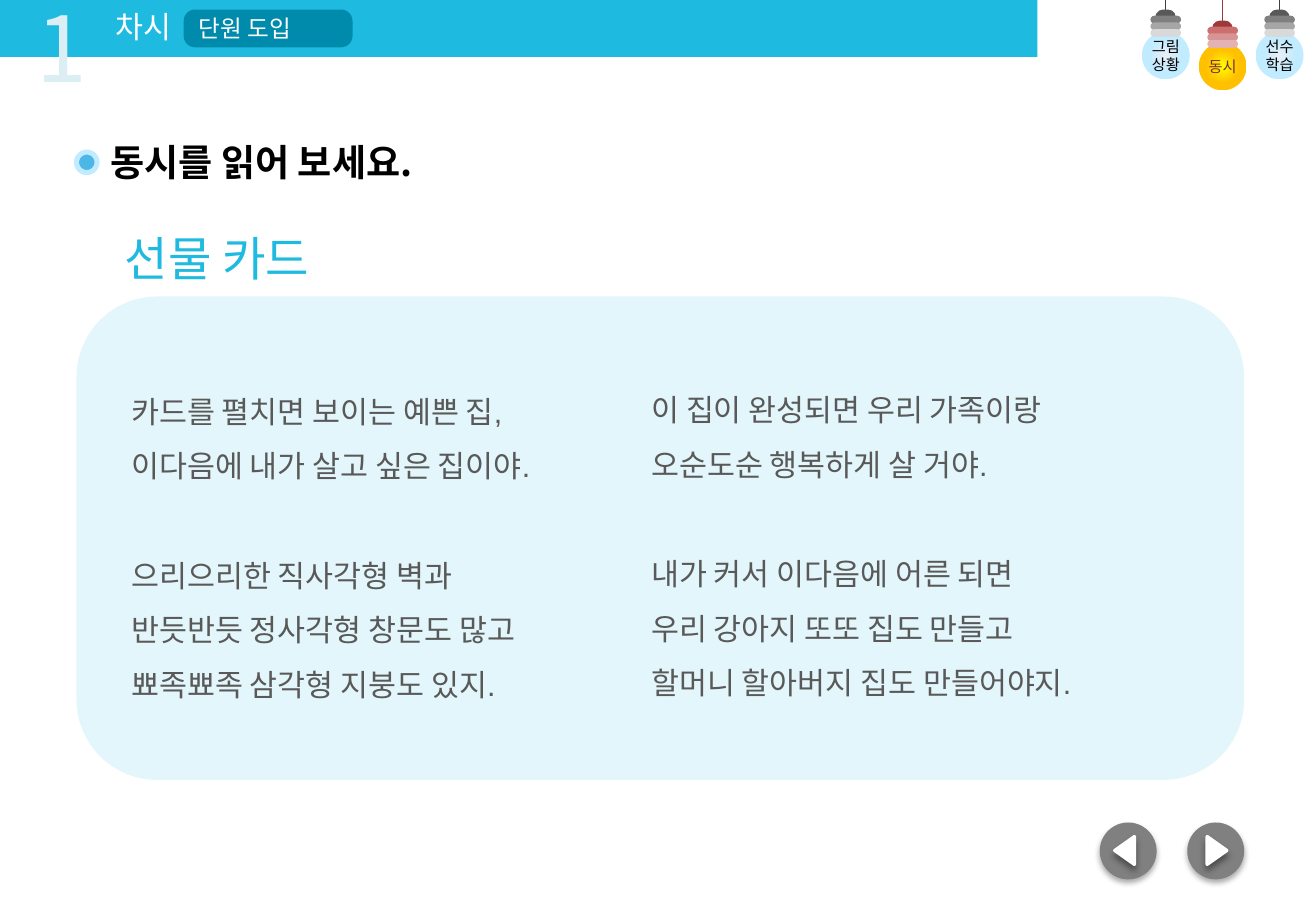
import pptx
import pptx.dml.color
import pptx.enum.shapes
import pptx.enum.text
import pptx.oxml
import pptx.oxml.ns
import pptx.util

Cm = pptx.util.Cm
Pt = pptx.util.Pt
RGB = pptx.dml.color.RGBColor
MSO = pptx.enum.shapes.MSO_SHAPE
ALIGN = pptx.enum.text.PP_ALIGN
ANCHOR = pptx.enum.text.MSO_ANCHOR
qn = pptx.oxml.ns.qn
NS = pptx.oxml.ns.nsdecls("a")

KOREAN = "Noto Sans CJK KR"
WHITE = RGB(0xFF, 0xFF, 0xFF)
BLACK = RGB(0x00, 0x00, 0x00)
CYAN = RGB(0x1F, 0xBA, 0xDF)
TEAL = RGB(0x00, 0x8B, 0xAD)
NUMBER = RGB(0xDB, 0xEE, 0xF4)
CARD = RGB(0x74, 0xD5, 0xEC)
POEM = RGB(0x59, 0x59, 0x59)
BUTTON = RGB(0x80, 0x80, 0x80)
BULLET = RGB(0x4C, 0xB6, 0xE6)
PALE_BLUE = RGB(0xC1, 0xEB, 0xFF)
LABEL_RED = RGB(0x7B, 0x2D, 0x2D)
# wire, cap, three rings, bulb centre, bulb edge
GREY_LAMP = (RGB(0x40, 0x40, 0x40), RGB(0x59, 0x59, 0x59),
             RGB(0x80, 0x80, 0x80), RGB(0xA6, 0xA6, 0xA6), RGB(0xD9, 0xD9, 0xD9),
             RGB(0xE9, 0xEF, 0xF7), PALE_BLUE)
RED_LAMP = (RGB(0x9D, 0x39, 0x39), RGB(0x9D, 0x39, 0x39),
            RGB(0xCB, 0x6F, 0x6F), RGB(0xD8, 0x94, 0x94), RGB(0xE3, 0xB3, 0xB3),
            RGB(0xFF, 0xFF, 0x00), RGB(0xFF, 0xC0, 0x00))


def write(sp, text, size, color, font=KOREAN, bold=False, align=ALIGN.LEFT,
          anchor=ANCHOR.TOP, wrap=True, spacing=1.0, stanza_gap=0):
    """Fill a shape with text; an empty line in it starts a new stanza."""
    tf = sp.text_frame
    tf.auto_size = pptx.enum.text.MSO_AUTO_SIZE.NONE
    tf.word_wrap = wrap
    tf.vertical_anchor = anchor
    first = True
    for number, stanza in enumerate(text.split("\n\n")):
        for row, line in enumerate(stanza.split("\n")):
            p = tf.paragraphs[0] if first else tf.add_paragraph()
            first = False
            pPr = p._p.get_or_add_pPr()
            pPr.set("marL", "0")
            pPr.set("indent", "0")
            pPr.append(pptx.oxml.parse_xml(f"<a:buNone {NS}/>"))
            p.alignment = align
            p.line_spacing = spacing
            p.space_before = Pt(stanza_gap if number and not row else 0)
            r = p.add_run()
            r.text = line
            r.font.size = Pt(size)
            r.font.bold = bold
            r.font.color.rgb = color
            r.font.name = font
            r.font._element.append(
                pptx.oxml.parse_xml(f'<a:ea {NS} typeface="{KOREAN}"/>'))


def add_shape(kind, x, y, w, h, fill, line=None, line_width=0, shadow=None):
    """Add a filled shape; shadow is (opacity %, blur pt, distance pt)."""
    sp = s.shapes.add_shape(kind, Cm(x), Cm(y), Cm(w), Cm(h))
    sp.shadow.inherit = False
    sp.fill.solid()
    sp.fill.fore_color.rgb = fill
    if line is None:
        sp.line.fill.background()
    else:
        sp.line.color.rgb = line
        sp.line.width = Pt(line_width)
    if shadow:
        opacity, blur, dist = shadow
        sp._element.spPr.find(qn("a:effectLst")).append(pptx.oxml.parse_xml(
            f'<a:outerShdw {NS} blurRad="{Pt(blur)}" dist="{Pt(dist)}" dir="5400000" '
            f'algn="t" rotWithShape="0"><a:srgbClr val="000000">'
            f'<a:alpha val="{opacity * 1000}"/></a:srgbClr></a:outerShdw>'))
    return sp


prs = pptx.Presentation()
prs.slide_width = Cm(27.51)
prs.slide_height = Cm(19.05)
s = prs.slides.add_slide(prs.slide_layouts[3])
title, left_poem, right_poem = s.placeholders

# Header
add_shape(MSO.RECTANGLE, 0, 0, 21.69, 1.19, CYAN)
tag = add_shape(MSO.ROUNDED_RECTANGLE, 3.84, 0.2, 3.53, 0.79, TEAL)
tag.adjustments[0] = 0.3
write(tag, "단원 도입", 14, WHITE, anchor=ANCHOR.MIDDLE)
number = s.shapes.add_textbox(Cm(0.46), Cm(-0.3), Cm(1.68), Cm(2.57))
write(number, "1", 54, NUMBER, align=ALIGN.CENTER, wrap=False)
period = s.shapes.add_textbox(Cm(2.13), Cm(0.05), Cm(1.73), Cm(1.02))
write(period, "차시", 18, WHITE, align=ALIGN.CENTER, wrap=False)

# Instruction
title.left, title.top, title.width, title.height = Cm(2.06), Cm(2.79), Cm(23.83), Cm(1.19)
write(title, "동시를 읽어 보세요.", 22, BLACK, bold=True)
add_shape(MSO.OVAL, 1.6, 3.18, 0.43, 0.43, BULLET, PALE_BLUE, 3)

# Poem card
card = add_shape(MSO.ROUNDED_RECTANGLE, 1.6, 6.2, 24.41, 10.11, CARD)
card.fill._xPr.find(qn("a:solidFill"))[0].append(
    pptx.oxml.parse_xml(f'<a:alpha {NS} val="20000"/>'))
heading = s.shapes.add_textbox(Cm(2.36), Cm(5), Cm(16.61), Cm(0.76))
write(heading, "선물 카드", 28, CYAN, anchor=ANCHOR.MIDDLE)
poem_columns = [
    (left_poem, 2.49, 10.21, ANCHOR.MIDDLE,
     "카드를 펼치면 보이는 예쁜 집,\n이다음에 내가 살고 싶은 집이야.\n\n"
     "으리으리한 직사각형 벽과\n반듯반듯 정사각형 창문도 많고\n뾰족뾰족 삼각형 지붕도 있지."),
    (right_poem, 13.36, 11.99, ANCHOR.TOP,
     "이 집이 완성되면 우리 가족이랑\n오순도순 행복하게 살 거야.\n\n"
     "내가 커서 이다음에 어른 되면\n우리 강아지 또또 집도 만들고\n할머니 할아버지 집도 만들어야지."),
]
for poem, x, w, anchor, text in poem_columns:
    poem.left, poem.top, poem.width, poem.height = Cm(x), Cm(7.67), Cm(w), Cm(7.19)
    write(poem, text, 18, POEM, font="Arial", anchor=anchor, spacing=1.5, stanza_gap=32.4)
    s.shapes._spTree.append(poem._element)  # in front of the card

# Navigation buttons
for x, arrow_x, rotation in [(22.99, 23.22, 270), (24.82, 25.15, 90)]:
    add_shape(MSO.OVAL, x, 17.2, 1.19, 1.19, BUTTON, shadow=(32, 3.5, 2.2))
    arrow = add_shape(MSO.ISOSCELES_TRIANGLE, arrow_x, 17.58, 0.58, 0.41,
                      WHITE, WHITE, 2, shadow=(40, 4, 3))
    arrow.rotation = rotation

# Lamp menu
lamps = [("그림\n상황", 0, GREY_LAMP, BLACK),
         ("동시", 0.23, RED_LAMP, LABEL_RED),
         ("선수학습", 0, GREY_LAMP, BLACK)]
for i, (label, drop, colors, label_color) in enumerate(lamps):
    wire_color, cap_color, *ring_colors, centre_color, edge_color = colors
    x = 24.37 + 1.19 * i
    wire = s.shapes.add_connector(pptx.enum.shapes.MSO_CONNECTOR.STRAIGHT,
                                  Cm(x), Cm(0), Cm(x), Cm(0.25 + drop))
    wire.line.color.rgb = wire_color
    wire.line.width = Pt(0.75)
    wire._element.spPr.append(pptx.oxml.parse_xml(f"<a:effectLst {NS}/>"))
    cap = add_shape(MSO.ROUNDED_RECTANGLE, x - 0.22, 0.2 + drop, 0.43, 0.33, cap_color)
    cap.adjustments[0] = 0.5
    bulb = add_shape(MSO.OVAL, x - 0.5, 0.66 + drop, 1, 1, edge_color)
    bulb.fill.gradient()
    for stop, color, position in zip(bulb.fill.gradient_stops,
                                     (centre_color, edge_color), (0, 0.5)):
        stop.color.rgb = color
        stop.position = position
    grad = bulb._element.spPr.find(qn("a:gradFill"))
    grad.replace(grad.find(qn("a:lin")), pptx.oxml.parse_xml(
        f'<a:path {NS} path="circle">'
        '<a:fillToRect l="50000" t="50000" r="50000" b="50000"/></a:path>'))
    for j, ring_color in enumerate(ring_colors):
        ring = add_shape(MSO.ROUNDED_RECTANGLE, x - 0.32, 0.33 + 0.14 * j + drop,
                         0.64, 0.16, ring_color)
        ring.adjustments[0] = 0.5
    box = s.shapes.add_textbox(Cm(x - 0.6), Cm(0.66 + drop), Cm(1.2), Cm(1))
    write(box, label, 9, label_color, align=ALIGN.CENTER, anchor=ANCHOR.MIDDLE)

prs.save("out.pptx")
